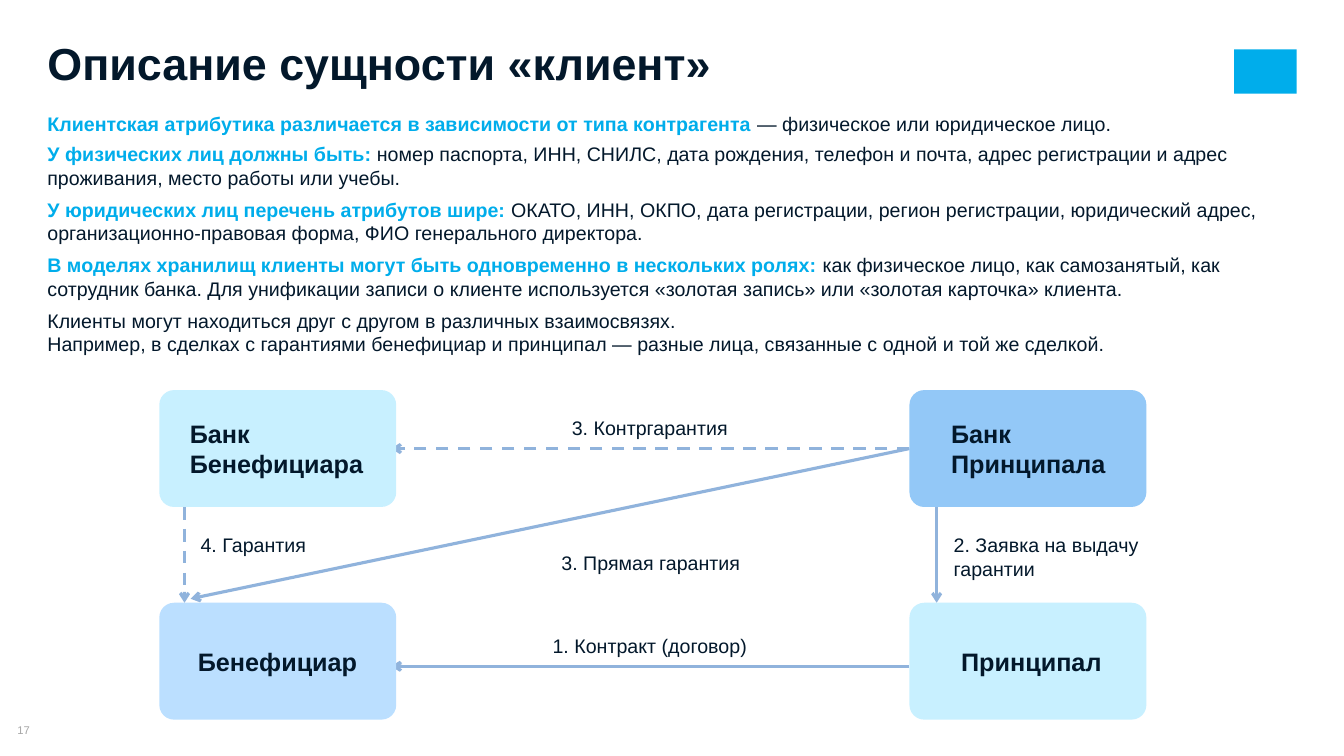
import pptx
import pptx.util
import pptx.dml.color
import pptx.enum.dml
import pptx.enum.shapes
import pptx.enum.text
import pptx.oxml.ns
from lxml import etree

Inches = pptx.util.Inches
Pt = pptx.util.Pt
RGBColor = pptx.dml.color.RGBColor
SHAPE = pptx.enum.shapes.MSO_SHAPE
ALIGN = pptx.enum.text.PP_ALIGN
ANCHOR = pptx.enum.text.MSO_ANCHOR
qn = pptx.oxml.ns.qn

WHITE = RGBColor(0xFF, 0xFF, 0xFF)
INK = RGBColor(0x03, 0x18, 0x2B)
ACCENT = RGBColor(0x00, 0xAD, 0xEB)
GREY = RGBColor(0xA6, 0xA6, 0xA6)
ARROW = RGBColor(0x90, 0xB3, 0xDC)
PALE = RGBColor(0xC8, 0xF0, 0xFF)
LIGHT = RGBColor(0xBB, 0xDF, 0xFF)
MEDIUM = RGBColor(0x93, 0xC8, 0xF7)

# Grid of the diagram
BOX_W, BOX_H = 2.35, 1.16
LEFT, RIGHT = 1.58, 9.02
TOP, BOTTOM = 3.87, 5.98

INTRO = [
    ("Клиентская атрибутика различается в зависимости от типа контрагента ",
     "— физическое или юридическое лицо."),
]
DETAILS = [
    ("У физических лиц должны быть: ",
     "номер паспорта, ИНН, СНИЛС, дата рождения, телефон и почта, "
     "адрес регистрации и адрес проживания, место работы или учебы."),
    ("У юридических лиц перечень атрибутов шире: ",
     "ОКАТО, ИНН, ОКПО, дата регистрации, регион регистрации, юридический адрес, "
     "организационно-правовая форма, ФИО генерального директора."),
    ("В моделях хранилищ клиенты могут быть одновременно в нескольких ролях: ",
     "как физическое лицо, как самозанятый, как сотрудник банка. Для унификации записи "
     "о клиенте используется «золотая запись» или «золотая карточка» клиента."),
    ("", "Клиенты могут находиться друг с другом в различных взаимосвязях. \n"
     "Например, в сделках с гарантиями бенефициар и принципал — разные лица, "
     "связанные с одной и той же сделкой."),
]
# Label, left, top, fill, left inset
PARTIES = [
    ("Банк\nБенефициара", LEFT, TOP, PALE, 0.26),
    ("Бенефициар", LEFT, BOTTOM, LIGHT, 0.34),
    ("Банк\nПринципала", RIGHT, TOP, MEDIUM, 0.37),
    ("Принципал", RIGHT, BOTTOM, PALE, 0.47),
]
# From, to, dashed
ARROWS = [
    ((RIGHT, 4.45), (1.89, 5.94), False),
    ((9.29, TOP + BOX_H), (9.29, BOTTOM), False),
    ((1.83, TOP + BOX_H), (1.83, BOTTOM), True),
    ((RIGHT, 6.61), (3.88, 6.61), False),
    ((RIGHT, 4.45), (3.88, 4.45), True),
]
# Text, left, top, width, height, alignment
LABELS = [
    ("3. Прямая гарантия", 5.21, 5.42, 2.49, 0.34, ALIGN.CENTER),
    ("2. Заявка на выдачу\nгарантии", 9.36, 5.24, 2.09, 0.57, ALIGN.LEFT),
    ("4. Гарантия", 1.89, 5.24, 2.09, 0.34, ALIGN.LEFT),
    ("1. Контракт (договор)", 5.2, 6.24, 2.49, 0.34, ALIGN.CENTER),
    ("3. Контргарантия", 5.2, 4.08, 2.49, 0.34, ALIGN.CENTER),
]


def set_font(font, size, color=INK, bold=False):
    font.name = "Arial"
    font.size = Pt(size)
    font.bold = bold
    font.color.rgb = color


def add_frame(slide, left, top, width, height, inset=True):
    tf = slide.shapes.add_textbox(
        Inches(left), Inches(top), Inches(width), Inches(height)).text_frame
    tf.word_wrap = True
    if not inset:
        tf.margin_left = tf.margin_right = tf.margin_top = tf.margin_bottom = 0
    return tf


def write(tf, text, size, color=INK, bold=False, align=ALIGN.LEFT):
    p = tf.paragraphs[0]
    p.text = text
    p.alignment = align
    set_font(p.font, size, color, bold)
    return p


def add_body(slide, top, width, height, items):
    tf = add_frame(slide, 0.47, top, width, height, inset=False)
    for i, (lead, rest) in enumerate(items):
        p = tf.paragraphs[0] if i == 0 else tf.add_paragraph()
        p.text = rest
        p.space_after = Pt(6)
        set_font(p.font, 14)
        if lead:
            # The bold lead-in stands before the plain text
            r = p.add_run()
            r.text = lead
            r.font.bold = True
            r.font.color.rgb = ACCENT
            first = p.runs[0]
            if first.text == rest:
                first.text, r.text = lead, rest
                first.font.bold, r.font.bold = True, False
                first.font.color.rgb, r.font.color.rgb = ACCENT, INK


def add_block(slide, kind, left, top, width, height, fill):
    sp = slide.shapes.add_shape(
        kind, Inches(left), Inches(top), Inches(width), Inches(height))
    sp.shadow.inherit = False
    sp.fill.solid()
    sp.fill.fore_color.rgb = fill
    sp.line.fill.background()
    return sp


def add_party(slide, label, left, top, fill, inset):
    sp = add_block(slide, SHAPE.ROUNDED_RECTANGLE, left, top, BOX_W, BOX_H, fill)
    sp.adjustments[0] = 0.126
    tf = sp.text_frame
    tf.margin_left, tf.margin_right = Inches(inset), 0
    tf.vertical_anchor = ANCHOR.MIDDLE
    write(tf, label, 18, bold=True)


def add_arrow(slide, start, end, dashed):
    x1, y1, x2, y2 = (Inches(v) for v in start + end)
    cn = slide.shapes.add_connector(
        pptx.enum.shapes.MSO_CONNECTOR.STRAIGHT, x1, y1, x2, y2)
    cn.line.color.rgb = ARROW
    cn.line.width = Pt(2.25)
    if dashed:
        cn.line.dash_style = pptx.enum.dml.MSO_LINE.DASH
    etree.SubElement(cn.line._get_or_add_ln(), qn("a:tailEnd"), type="arrow")
    etree.SubElement(cn._element.spPr, qn("a:effectLst"))


def main():
    prs = pptx.Presentation()
    prs.slide_width, prs.slide_height = Inches(13.33), Inches(7.5)
    slide = prs.slides.add_slide(prs.slide_layouts[6])
    slide.background.fill.solid()
    slide.background.fill.fore_color.rgb = WHITE

    # Corner mark and page number
    add_block(slide, SHAPE.RECTANGLE, 12.24, 0.49, 0.62, 0.44, ACCENT)
    tf = add_frame(slide, 0, 7.18, 0.47, 0.13, inset=False)
    tf.vertical_anchor = ANCHOR.MIDDLE
    write(tf, "17", 8, GREY, align=ALIGN.CENTER)

    # Title and body text
    tf = add_frame(slide, 0.47, 0.46, 10.52, 0.43, inset=False)
    write(tf, "Описание сущности «клиент»", 32, bold=True).line_spacing = 0.8
    add_body(slide, 1.11, 11.88, 0.24, INTRO)
    add_body(slide, 1.41, 12.04, 2.89, DETAILS)

    # Guarantee diagram
    for arrow in ARROWS:
        add_arrow(slide, *arrow)
    for party in PARTIES:
        add_party(slide, *party)
    for text, left, top, width, height, align in LABELS:
        write(add_frame(slide, left, top, width, height), text, 14, align=align)

    prs.save("out.pptx")


if __name__ == "__main__":
    main()
